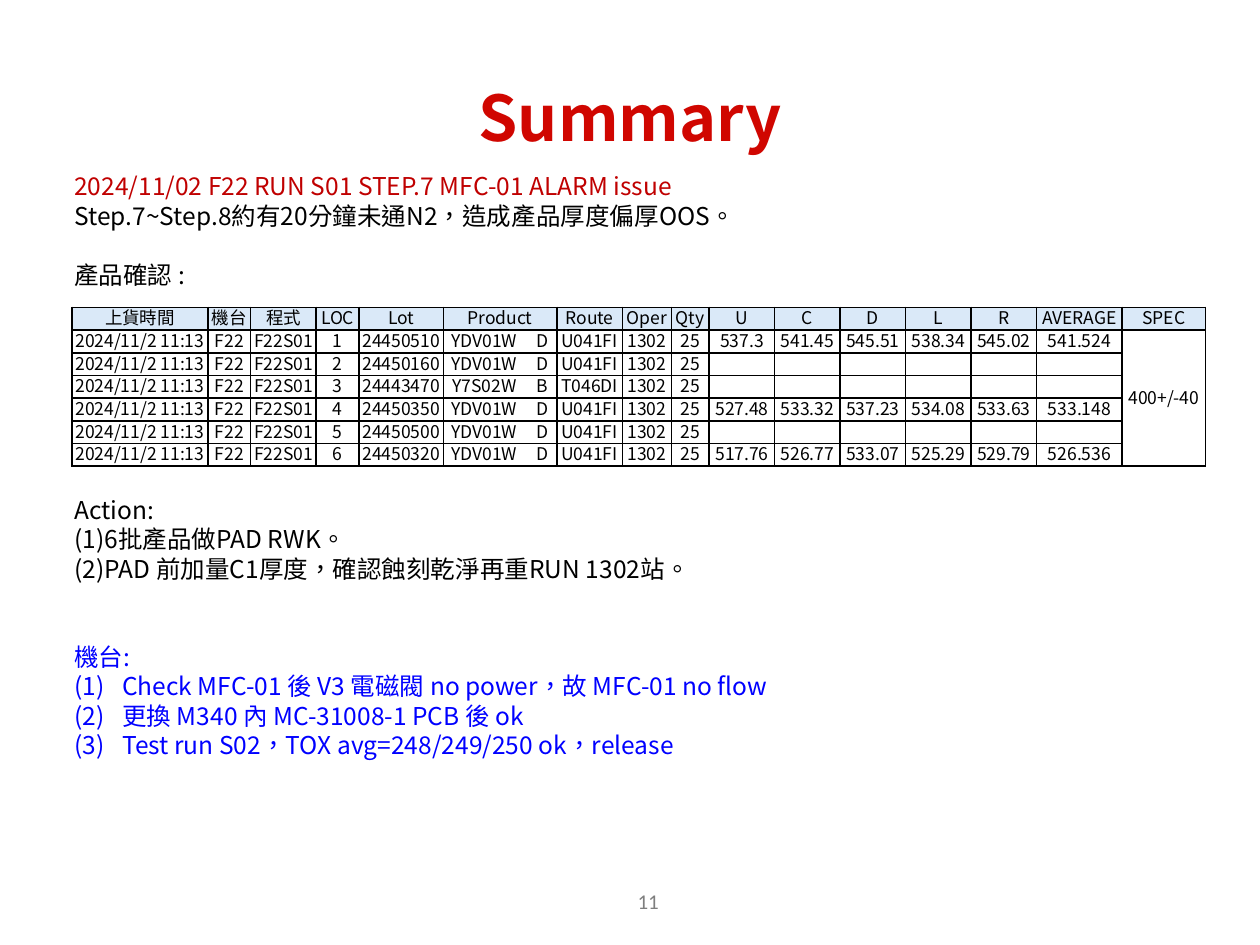
from dataclasses import dataclass

from lxml.etree import SubElement
from pptx import Presentation
from pptx.dml.color import RGBColor
from pptx.enum.text import MSO_ANCHOR, PP_ALIGN
from pptx.oxml import parse_xml
from pptx.oxml.ns import nsdecls, qn
from pptx.util import Inches, Pt


@dataclass(frozen=True)
class Theme:
    font: str = "Noto Sans CJK SC"
    number_font: str = "Calibri"
    language: str = "zh-TW"
    title: str = "D00600"
    alarm: str = "C00000"
    text: str = "000000"
    machine: str = "0000FF"
    page_number: str = "7F7F7F"
    header_fill: str = "DAE9F8"
    cell_fill: str = "FFFFFF"
    title_size: float = 36
    body_size: float = 14
    body_line: float = 16.8
    table_size: float = 10
    table_line: float = 12
    empty_cell_size: float = 8
    number_size: float = 12


THEME = Theme()

# Text, colour, empty lines above, numbered
BODY = [
    ("2024/11/02 F22 RUN S01 STEP.7 MFC-01 ALARM issue", THEME.alarm, 0, False),
    ("Step.7~Step.8約有20分鐘未通N2，造成產品厚度偏厚OOS。", THEME.text, 0, False),
    ("產品確認 :", THEME.text, 1, False),
    ("Action:", THEME.text, 7, False),
    ("(1)6批產品做PAD RWK。", THEME.text, 0, False),
    ("(2)PAD 前加量C1厚度，確認蝕刻乾淨再重RUN 1302站。", THEME.text, 0, False),
    ("機台:", THEME.machine, 2, False),
    ("Check MFC-01 後 V3 電磁閥 no power，故 MFC-01 no flow", THEME.machine, 0, True),
    ("更換 M340 內 MC-31008-1 PCB 後 ok", THEME.machine, 0, True),
    ("Test run S02，TOX avg=248/249/250 ok，release", THEME.machine, 0, True),
]

HEADERS = ["上貨時間", "機台", "程式", "LOC", "Lot", "Product", "Route", "Oper",
           "Qty", "U", "C", "D", "L", "R", "AVERAGE", "SPEC"]
COLUMN_WIDTHS = [1.08, 0.34, 0.52, 0.34, 0.67, 0.9, 0.52, 0.39, 0.3,
                 *[0.52] * 5, 0.68, 0.66]
ROW_HEIGHT = 0.18
SPEC = "400+/-40"
UNMEASURED = [""] * 6

# Lot, product, route, then thickness at U, C, D, L, R and the average
LOTS = [
    ("24450510", "YDV01W     D", "U041FI",
     ["537.3", "541.45", "545.51", "538.34", "545.02", "541.524"]),
    ("24450160", "YDV01W     D", "U041FI", UNMEASURED),
    ("24443470", "Y7S02W     B", "T046DI", UNMEASURED),
    ("24450350", "YDV01W     D", "U041FI",
     ["527.48", "533.32", "537.23", "534.08", "533.63", "533.148"]),
    ("24450500", "YDV01W     D", "U041FI", UNMEASURED),
    ("24450320", "YDV01W     D", "U041FI",
     ["517.76", "526.77", "533.07", "525.29", "529.79", "526.536"]),
]


def place(shape, left, top, width, height):
    shape.left, shape.top = Inches(left), Inches(top)
    shape.width, shape.height = Inches(width), Inches(height)


def format_runs(paragraph, size, color, font=THEME.font, bold=False):
    for run in paragraph.runs:
        run.font.size = Pt(size)
        run.font.bold = bold
        run.font.color.rgb = RGBColor.from_string(color)
        run.font.name = font
        properties = run.font._element
        properties.set("lang", THEME.language)
        SubElement(properties, qn("a:ea")).set("typeface", font)


def set_bullet(paragraph, numbered):
    properties = paragraph._p.get_or_add_pPr()
    indent = Inches(0.38) if numbered else 0
    properties.set("marL", str(indent))
    properties.set("indent", str(-indent))
    if numbered:
        SubElement(properties, qn("a:buFont")).set("typeface", "+mj-lt")
        SubElement(properties, qn("a:buAutoNum")).set("type", "arabicParenBoth")
    else:
        SubElement(properties, qn("a:buNone"))


def fill_title(title):
    place(title, 0.5, 0.3, 9, 1.25)
    title.text_frame.text = "Summary"
    title.text_frame.vertical_anchor = MSO_ANCHOR.MIDDLE
    heading = title.text_frame.paragraphs[0]
    heading.alignment = PP_ALIGN.CENTER
    format_runs(heading, THEME.title_size, THEME.title, bold=True)


def fill_body(body):
    place(body, 0.49, 1.31, 9.15, 4.81)
    frame = body.text_frame
    frame.text = "\n".join(line[0] for line in BODY)
    for paragraph, (_, color, lines_above, numbered) in zip(frame.paragraphs, BODY):
        paragraph.line_spacing = Pt(THEME.body_line)
        paragraph.space_before = Pt(lines_above * THEME.body_line)
        paragraph.space_after = Pt(0)
        set_bullet(paragraph, numbered)
        format_runs(paragraph, THEME.body_size, color)


def add_borders(cell):
    properties = cell._tc.get_or_add_tcPr()
    for index, side in enumerate(("lnL", "lnR", "lnT", "lnB")):
        properties.insert(index, parse_xml(
            f'<a:{side} {nsdecls("a")} w="{Pt(1)}"><a:solidFill>'
            f'<a:srgbClr val="{THEME.text}"/></a:solidFill></a:{side}>'))


def keep_empty_cell_low(paragraph):
    """Size the end mark, as an empty cell otherwise takes an 18 pt line."""
    end_mark = SubElement(paragraph._p, qn("a:endParaRPr"))
    end_mark.set("sz", str(int(THEME.empty_cell_size * 100)))


def format_cell(cell, text, fill):
    cell.text_frame.text = text
    cell.margin_left = cell.margin_right = cell.margin_top = Inches(0.01)
    cell.margin_bottom = 0
    cell.vertical_anchor = MSO_ANCHOR.MIDDLE
    paragraph = cell.text_frame.paragraphs[0]
    paragraph.alignment = PP_ALIGN.CENTER
    paragraph.line_spacing = Pt(THEME.table_line)
    format_runs(paragraph, THEME.table_size, THEME.text)
    if not text:
        keep_empty_cell_low(paragraph)
    cell.fill.solid()
    cell.fill.fore_color.rgb = RGBColor.from_string(fill)
    add_borders(cell)


def add_lot_table(slide):
    rows = [HEADERS]
    for loc, (lot, product, route, thickness) in enumerate(LOTS, start=1):
        spec = SPEC if loc == 1 else ""
        rows.append(["2024/11/2 11:13", "F22", "F22S01", str(loc), lot, product,
                     route, "1302", "25", *thickness, spec])

    table = slide.shapes.add_table(
        len(rows), len(HEADERS), Inches(0.57), Inches(2.44),
        Inches(sum(COLUMN_WIDTHS)), Inches(ROW_HEIGHT * len(rows))).table
    table.first_row = table.horz_banding = False
    for column, width in zip(table.columns, COLUMN_WIDTHS):
        column.width = Inches(width)
    for row_index, values in enumerate(rows):
        table.rows[row_index].height = Inches(ROW_HEIGHT)
        fill = THEME.cell_fill if row_index else THEME.header_fill
        for column_index, value in enumerate(values):
            format_cell(table.cell(row_index, column_index), value, fill)
    last_column = len(HEADERS) - 1
    table.cell(1, last_column).merge(table.cell(len(LOTS), last_column))


def add_page_number(slide):
    box = slide.shapes.add_textbox(
        Inches(3.98), Inches(6.95), Inches(2.33), Inches(0.4))
    frame = box.text_frame
    frame.word_wrap = True
    frame.text = "11"
    frame.vertical_anchor = MSO_ANCHOR.MIDDLE
    number = frame.paragraphs[0]
    number.alignment = PP_ALIGN.CENTER
    format_runs(number, THEME.number_size, THEME.page_number, THEME.number_font)


def main():
    presentation = Presentation()
    presentation.slide_width = Inches(10)
    presentation.slide_height = Inches(7.5)
    slide = presentation.slides.add_slide(presentation.slide_layouts[1])
    fill_title(slide.shapes.title)
    fill_body(slide.placeholders[1])
    add_lot_table(slide)
    add_page_number(slide)
    presentation.save("out.pptx")


if __name__ == "__main__":
    main()
